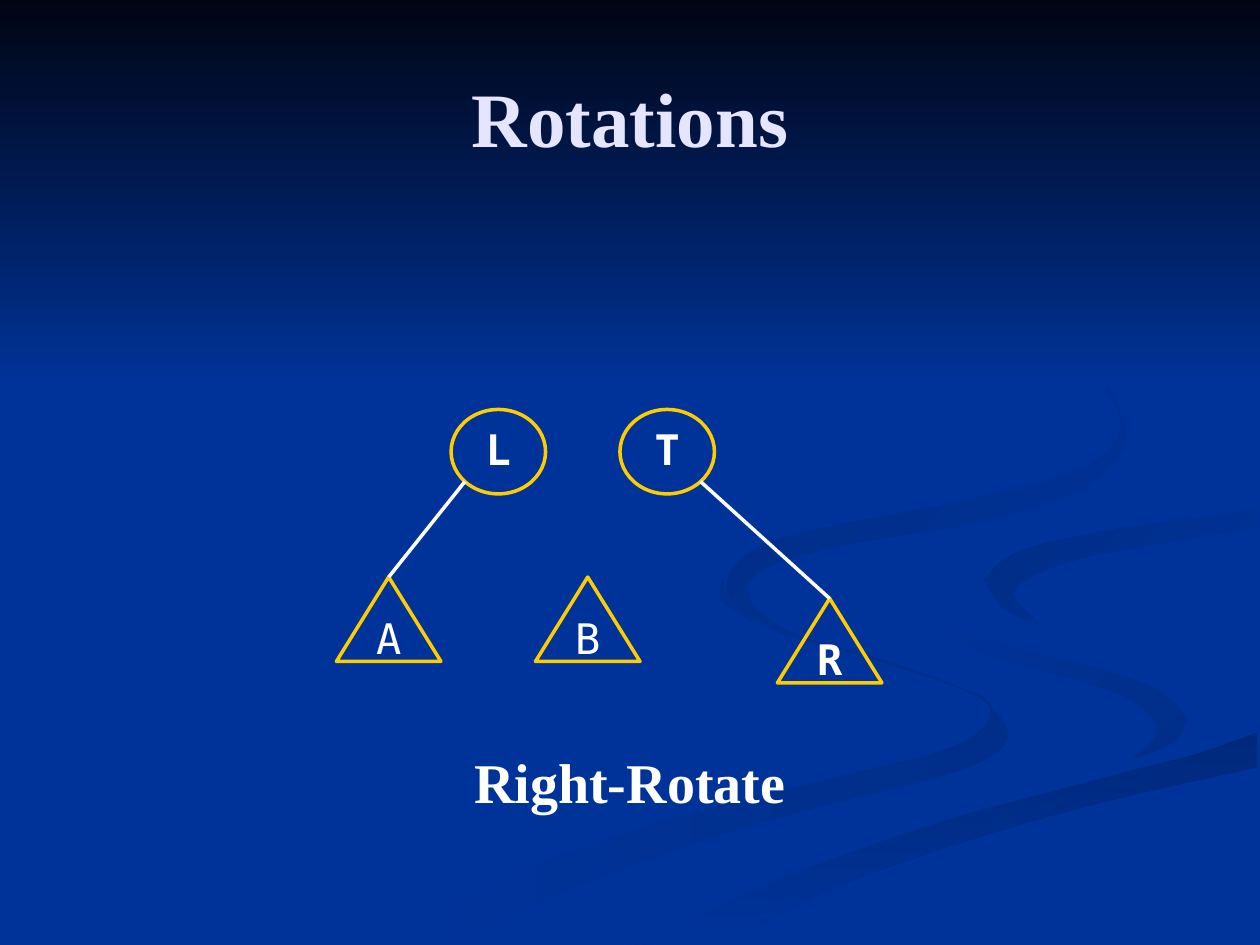
from itertools import chain
from math import sqrt

from pptx import Presentation
from pptx.dml.color import RGBColor
from pptx.enum.shapes import MSO_CONNECTOR as Link, MSO_SHAPE as Preset
from pptx.enum.text import MSO_ANCHOR as Anchor, PP_ALIGN as Align
from pptx.oxml import parse_xml
from pptx.oxml.ns import nsdecls
from pptx.util import Inches, Pt

BLUE, GOLD, WHITE, LAVENDER = "003399", "FFCC00", "FFFFFF", "E5E5FF"
MONO, SERIF = "DejaVu Sans Mono", "Times New Roman"
UNITS_PER_INCH = 1000
STEPS_PER_SPAN = 6

NODE_WIDTH, SUBTREE_WIDTH, PART_HEIGHT = 0.75, 0.83, 0.67
NODE_TOP = 3.25
NODES = {"T": 4.92, "L": 3.58}
SUBTREES = {"A": (2.67, 4.58, False), "B": (4.25, 4.58, False), "R": (6.17, 4.75, True)}
EDGES = [("L", "A"), ("T", "R")]

WAVE_INNER = [(7.81, 5.53), (7.15, 5.28), (6.42, 5.07), (5.94, 4.85), (5.76, 4.69), (5.75, 4.59)]
WAVE_OUTER = [(5.75, 4.59), (5.72, 4.76), (6.11, 4.99), (6.79, 5.19), (7.41, 5.39),
              (7.76, 5.53), (7.86, 5.66), (7.74, 5.83), (7.39, 5.98), (6.52, 6.2),
              (5.39, 6.49), (4.17, 6.9), (3, 7.49)]
WAVE_BASE = [(3.61, 7.49), (4.66, 7), (5.64, 6.65), (6.51, 6.4), (7.4, 6.18),
             (7.86, 6.01), (8, 5.81), (7.81, 5.53)]
BEND = [(7.24, 4.64), (7.33, 4.83), (7.58, 4.98), (8.11, 5.15), (8.7, 5.3), (9.19, 5.47), (9.43, 5.7)]
BEND_TIP = [(9.43, 5.7), (9.32, 5.89), (8.94, 6.05)]
BEND_INNER = [(8.94, 6.05), (9.18, 5.81), (9, 5.57), (8.54, 5.39), (7.97, 5.24),
              (7.55, 5.05), (7.3, 4.83), (7.24, 4.64)]
SWEEP_TOP = [(5.03, 7.49), (5.19, 7.47), (5.69, 7.19), (6.3, 6.93), (6.96, 6.69),
             (7.64, 6.47), (8.31, 6.29), (9.03, 6.1), (9.5, 5.98), (9.98, 5.81)]
SWEEP_BASE = [(9.98, 6.09), (9.03, 6.3), (8.21, 6.51), (7.22, 6.82), (6.49, 7.1), (5.71, 7.49)]
RIBBON_TAIL = [(9.43, 5.7), (9.31, 5.9), (8.92, 6.05), (7.8, 6.34), (6.63, 6.68), (5.73, 7.03), (4.77, 7.49)]
RIBBON_INNER = [(9.98, 5.38), (9.41, 5.27), (8.66, 5.09), (8.17, 4.92), (7.86, 4.73), (7.81, 4.6)]
RIBBON_CREST = [(9.98, 3.87), (9.42, 3.99), (8.51, 4.11), (7.88, 4.22), (7.42, 4.39), (7.24, 4.64)]
HOOK_TOP = [(7.81, 4.6), (8, 4.42), (8.35, 4.3), (8.98, 4.18), (9.67, 4.09), (9.98, 4.02)]
HOOK_INNER = [(9.98, 4.2), (9.36, 4.29), (8.59, 4.43), (8.16, 4.59), (8.05, 4.74), (8.26, 4.96)]
HOOK_TIP = [(8.26, 4.96), (7.97, 4.83), (7.81, 4.6)]
CURL_OUTER = [(6.83, 4.3), (7.64, 4.17), (8.25, 4.02), (8.67, 3.84), (8.89, 3.62),
              (8.94, 3.44), (8.8, 3.07), (8.43, 2.75), (7.99, 2.5), (7.62, 2.33)]
CURL_INNER = [(7.62, 2.33), (8.26, 2.66), (8.7, 2.99), (8.89, 3.35), (8.76, 3.6),
              (8.42, 3.78), (7.63, 3.98), (6.49, 4.2), (5.97, 4.37), (5.77, 4.62),
              (5.9, 4.84), (6.22, 5)]
CURL_TIP = [(6.22, 5), (5.97, 4.8), (5.96, 4.61), (6.24, 4.44), (6.83, 4.3)]
BAND_LEFT, BAND_RIGHT = [(0, 0), (0, 3.08)], [(10, 3.08), (10, 0)]

BACKDROP = [
    ([WAVE_INNER, WAVE_OUTER, WAVE_BASE], "002E8A", BLUE, 180),
    ([BEND, BEND_TIP, BEND_INNER], "002E8A", BLUE, 135),
    ([SWEEP_TOP, SWEEP_BASE], "00297C", BLUE, 270),
    ([BEND, RIBBON_TAIL, SWEEP_TOP, RIBBON_INNER, HOOK_TOP, RIBBON_CREST], BLUE, BLUE, 0),
    ([HOOK_TOP, HOOK_INNER, HOOK_TIP], BLUE, "002C85", 135),
    ([CURL_OUTER, CURL_INNER, CURL_TIP], BLUE, "002B81", 135),
    ([BAND_LEFT, BAND_RIGHT], "000514", BLUE, 270),
]


def color(hex_value):
    return RGBColor.from_string(hex_value)


def apply(target, values):
    for name, value in values.items():
        setattr(target, name, value)


def catmull_rom(before, start, end, after, t):
    return (2 * start + (end - before) * t
            + (2 * before - 5 * start + 4 * end - after) * t ** 2
            + (3 * start - before - 3 * end + after) * t ** 3) / 2


def smooth(knots):
    padded = [knots[0], *knots, knots[-1]]
    curve = []
    for span in zip(padded, padded[1:], padded[2:], padded[3:]):
        for step in range(STEPS_PER_SPAN):
            t = step / STEPS_PER_SPAN
            curve.append(tuple(catmull_rom(*axis, t) for axis in zip(*span)))
    return curve + [knots[-1]]


def write(frame, wording, size, font, ink=WHITE, bold=True, wrap=True, **spacing):
    apply(frame, {"word_wrap": wrap, "vertical_anchor": Anchor.MIDDLE})
    line = frame.paragraphs[0]
    apply(line, {"alignment": Align.CENTER, **spacing})
    run = line.add_run()
    run.text = wording
    apply(run.font, {"size": Pt(size), "name": font, "bold": bold})
    run.font.color.rgb = color(ink)


def add_wave(slide, sides, start, end, angle):
    outline = [(round(x * UNITS_PER_INCH), round(y * UNITS_PER_INCH))
               for x, y in chain.from_iterable(map(smooth, sides))]
    builder = slide.shapes.build_freeform(*outline[0], scale=Inches(1) / UNITS_PER_INCH)
    builder.add_line_segments(outline[1:], close=True)
    wave = builder.convert_to_shape()
    wave.shadow.inherit = False
    wave.line.fill.background()
    if start == end:
        wave.fill.solid()
        wave.fill.fore_color.rgb = color(start)
        return
    wave.fill.gradient()
    wave.fill.gradient_angle = angle
    for stop, shade, position in zip(wave.fill.gradient_stops, (start, end), (0, 1)):
        stop.color.rgb = color(shade)
        stop.position = position


def add_tree_part(slide, preset, label, left, top, width, bold=True):
    part = slide.shapes.add_shape(preset, Inches(left), Inches(top), Inches(width), Inches(PART_HEIGHT))
    part.shadow.inherit = False
    part.fill.background()
    part.line.color.rgb = color(GOLD)
    part.line.width = Pt(2)
    write(part.text_frame, label, 24, MONO, bold=bold, wrap=False,
          line_spacing=0.9, space_before=Pt(6))


def add_edge(slide, node, subtree):
    node_left, (subtree_left, apex_y, _) = NODES[node], SUBTREES[subtree]
    node_x = node_left + NODE_WIDTH / 2
    apex_x = subtree_left + SUBTREE_WIDTH / 2
    side = 1 if apex_x > node_x else -1
    rim_x = node_x + side * NODE_WIDTH / 2 / sqrt(2)
    rim_y = NODE_TOP + PART_HEIGHT / 2 * (1 + 1 / sqrt(2))
    edge = slide.shapes.add_connector(Link.STRAIGHT, *map(Inches, (rim_x, rim_y, apex_x, apex_y)))
    edge.line.color.rgb = color(WHITE)
    edge.line.width = Pt(2)
    edge._element.spPr.append(parse_xml(f"<a:effectLst {nsdecls('a')}/>"))


def add_heading(slide, wording, top, height, size, ink):
    heading = slide.shapes.add_textbox(Inches(0.5), Inches(top), Inches(9), Inches(height))
    write(heading.text_frame, wording, size, SERIF, ink)


def main():
    deck = Presentation()
    apply(deck, {"slide_width": Inches(10), "slide_height": Inches(7.5)})
    slide = deck.slides.add_slide(deck.slide_layouts[6])
    slide.background.fill.solid()
    slide.background.fill.fore_color.rgb = color(BLUE)
    for wave in BACKDROP:
        add_wave(slide, *wave)
    for label, left in NODES.items():
        add_tree_part(slide, Preset.OVAL, label, left, NODE_TOP, NODE_WIDTH)
    for label, (left, top, bold) in SUBTREES.items():
        add_tree_part(slide, Preset.ISOSCELES_TRIANGLE, label, left, top, SUBTREE_WIDTH, bold)
    for node, subtree in EDGES:
        add_edge(slide, node, subtree)
    add_heading(slide, "Rotations", 0.3, 1.25, 44, LAVENDER)
    add_heading(slide, "Right-Rotate", 5.88, 0.64, 32, WHITE)
    deck.save("out.pptx")


if __name__ == "__main__":
    main()
